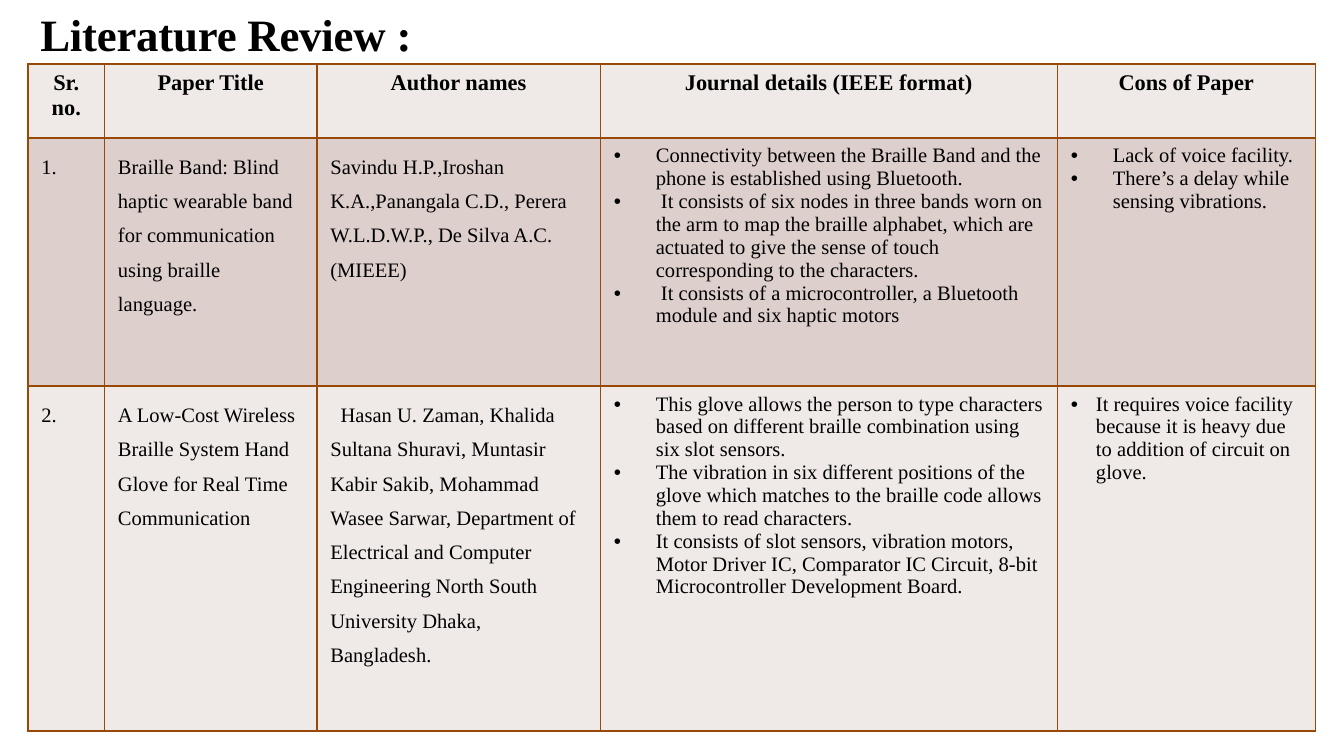
"""Build the literature review slide: a title above a table of papers."""
from dataclasses import dataclass

from lxml import etree
from pptx import Presentation
from pptx import util as u
from pptx.dml import color
from pptx.enum import text as t
from pptx.oxml import ns


@dataclass(frozen=True)
class Theme:
    """Colours, typeface and type sizes of the slide."""
    font: str = "Times New Roman"
    ink: str = "000000"
    border: str = "984807"
    pale: str = "EFE9E7"
    band: str = "DDCFCC"
    title: float = 24
    header: float = 12
    body: float = 11


THEME = Theme()
COLUMN_WIDTHS = [41, 113.8, 151.9, 244.8, 138.2]
ROW_HEIGHTS = [39.6, 133, 185]
WIDE_HANG = 22.5
NARROW_HANG = 13.5

HEADINGS = ["Sr. no.", "Paper Title", "Author names",
            "Journal details (IEEE format)", "Cons of Paper"]


@dataclass(frozen=True)
class Paper:
    """One reviewed paper, with the indents its cells need."""
    number: str
    title: str
    authors: str
    details: list
    cons: list
    cons_hang: float = WIDE_HANG
    authors_indent: float = 0


PAPERS = [
    Paper(
        "1.",
        "Braille Band: Blind haptic wearable band for communication using braille\vlanguage.",
        "Savindu H.P.,Iroshan K.A.,Panangala C.D., Perera W.L.D.W.P., De Silva A.C. (MIEEE)",
        ["Connectivity between the Braille Band and the phone is established using Bluetooth.",
         " It consists of six nodes in three bands worn on the arm to map the braille alphabet, "
         "which are actuated to give the sense of touch corresponding to the characters.",
         " It consists of a microcontroller, a Bluetooth module and six haptic motors"],
        ["Lack of voice facility.", "There’s a delay while sensing vibrations."],
    ),
    Paper(
        "2.",
        "A Low-Cost Wireless Braille System Hand Glove for Real Time Communication",
        "Hasan U. Zaman, Khalida Sultana Shuravi, Muntasir Kabir Sakib, Mohammad Wasee Sarwar, "
        "Department of Electrical and Computer Engineering North South University Dhaka,\v"
        "Bangladesh.",
        ["This glove allows the person to type characters based on different braille "
         "combination using six slot sensors.",
         "The vibration in six different positions of the glove which matches to the braille "
         "code allows them to read characters.",
         "It consists of slot sensors, vibration motors, Motor Driver IC, Comparator IC Circuit, "
         "8-bit Microcontroller Development Board."],
        ["It requires voice facility because it is heavy due to addition of circuit on glove."],
        cons_hang=NARROW_HANG,
        authors_indent=5.5,
    ),
]


def add_element(parent, tag, **attributes):
    """Append a DrawingML element and return it."""
    return etree.SubElement(parent, ns.qn(tag), attributes)


def write(frame, content, size=THEME.body, bold=False, align=t.PP_ALIGN.LEFT,
          spacing=1.0, hang=0, indent=0, tracking=0):
    """Fill a text frame with one paragraph, or with a bullet list when hang is set."""
    lines = [content] if isinstance(content, str) else content
    for index, line in enumerate(lines):
        paragraph = frame.paragraphs[0] if index == 0 else frame.add_paragraph()
        paragraph.text = line
        paragraph.alignment = align
        paragraph.line_spacing = spacing
        properties = paragraph._p.get_or_add_pPr()
        if hang:
            properties.set("marL", str(u.Pt(hang)))
            properties.set("indent", str(-u.Pt(hang)))
            add_element(properties, "a:buFont", typeface="Arial")
            add_element(properties, "a:buChar", char="•")
        elif indent:
            properties.set("indent", str(u.Pt(indent)))
        for run in paragraph.runs:
            run.font.name = THEME.font
            run.font.size = u.Pt(size)
            run.font.bold = bold
            run.font.color.rgb = color.RGBColor.from_string(THEME.ink)
            if tracking:
                run.font._element.set("spc", str(round(tracking * 100)))


def style_cell(cell, fill):
    """Give a cell its four borders and its fill."""
    properties = cell._tc.get_or_add_tcPr()
    for side in "LRTB":
        border = add_element(properties, f"a:ln{side}", w=str(u.Pt(1)))
        add_element(add_element(border, "a:solidFill"), "a:srgbClr", val=THEME.border)
    cell.fill.solid()
    cell.fill.fore_color.rgb = color.RGBColor.from_string(fill)


def add_title(slide, heading):
    """Place the heading in the title placeholder."""
    title = slide.shapes.title
    title.left, title.top, title.width, title.height = map(u.Pt, (14.4, 0, 345.6, 55.4))
    frame = title.text_frame
    frame.word_wrap = True
    frame.auto_size = t.MSO_AUTO_SIZE.NONE
    frame.vertical_anchor = t.MSO_ANCHOR.TOP
    frame.margin_top = u.Pt(3.6)
    write(frame, heading, size=THEME.title, bold=True, tracking=-0.1)


def fill_paper_row(cells, paper):
    """Write one paper across a table row."""
    number, name, authors, details, cons = (cell.text_frame for cell in cells)
    write(number, paper.number, spacing=1.5)
    write(name, paper.title, spacing=1.5)
    write(authors, paper.authors, spacing=1.5, indent=paper.authors_indent)
    write(details, paper.details, hang=WIDE_HANG)
    write(cons, paper.cons, hang=paper.cons_hang)


def add_review_table(slide):
    """Add the table with its heading row and one row for each paper."""
    table = slide.shapes.add_table(
        len(PAPERS) + 1, len(HEADINGS), u.Pt(15), u.Pt(34.2),
        u.Pt(sum(COLUMN_WIDTHS)), u.Pt(sum(ROW_HEIGHTS))).table
    table.first_row = table.horz_banding = False
    for column, width in zip(table.columns, COLUMN_WIDTHS):
        column.width = u.Pt(width)
    for index, (row, height) in enumerate(zip(table.rows, ROW_HEIGHTS)):
        row.height = u.Pt(height)
        for cell in row.cells:
            style_cell(cell, THEME.band if index % 2 else THEME.pale)
    for cell, heading in zip(table.rows[0].cells, HEADINGS):
        write(cell.text_frame, heading, size=THEME.header, bold=True, align=t.PP_ALIGN.CENTER)
    for index, paper in enumerate(PAPERS, start=1):
        fill_paper_row(table.rows[index].cells, paper)


def main():
    """Build and save the slide."""
    deck = Presentation()
    deck.slide_width, deck.slide_height = u.Pt(720), u.Pt(405)
    slide = deck.slides.add_slide(deck.slide_layouts[5])
    add_title(slide, "Literature Review :")
    add_review_table(slide)
    deck.save("out.pptx")


if __name__ == "__main__":
    main()
